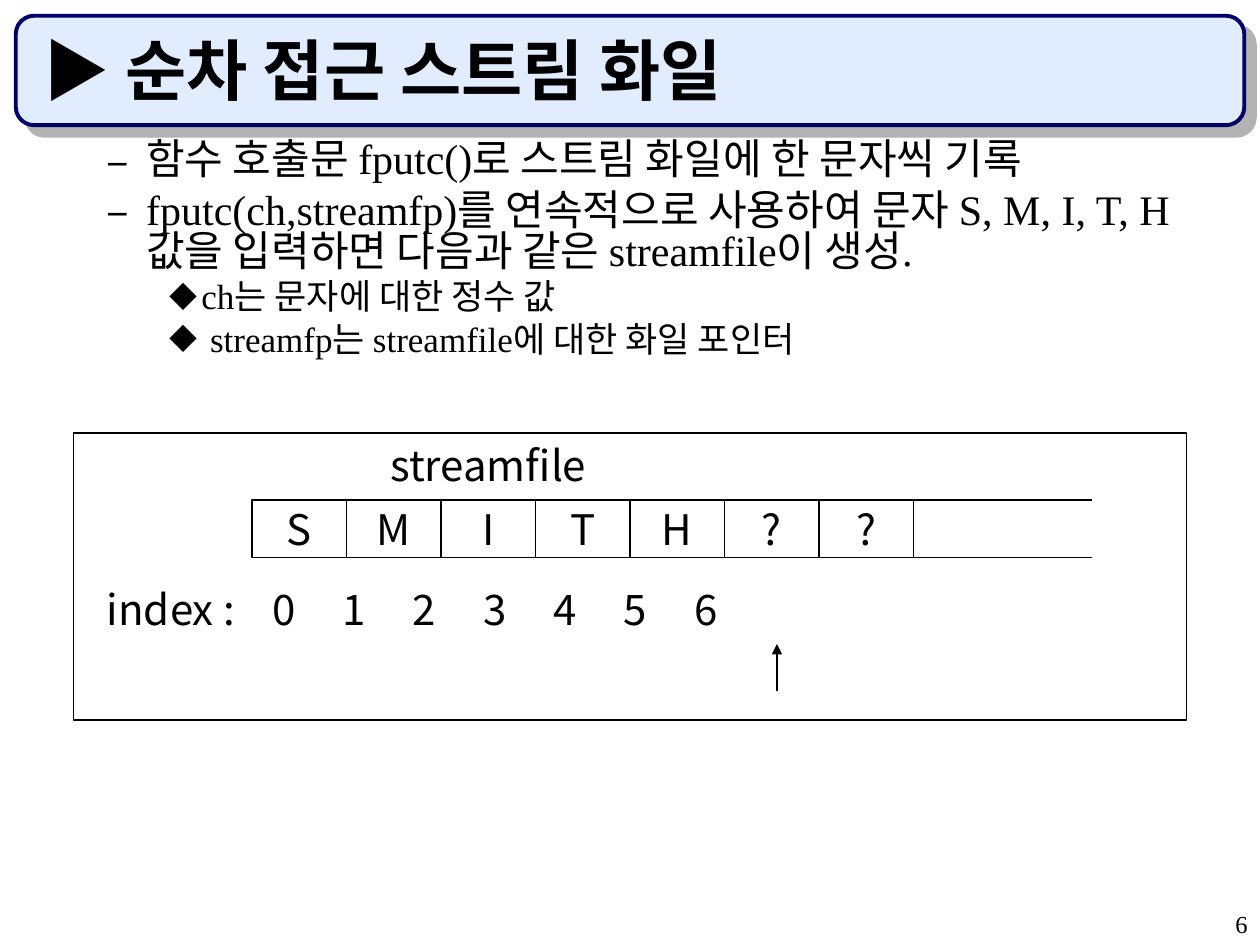
from dataclasses import dataclass
from typing import Any

from pptx import Presentation
from pptx.dml.color import RGBColor
from pptx.enum.shapes import MSO_CONNECTOR, MSO_SHAPE
from pptx.enum.text import MSO_ANCHOR, PP_ALIGN
from pptx.oxml.ns import qn
from pptx.util import Pt
from lxml.etree import SubElement


def color(value):
    return RGBColor.from_string(value)


def add_element(parent, tag, **attributes):
    return SubElement(parent, qn(tag), {name: str(value) for name, value in attributes.items()})


@dataclass
class SlideBuilder:
    slide: Any
    serif: str = "Times New Roman"
    sans: str = "Noto Sans CJK KR"
    ink: str = "000000"
    thin: float = 0.75

    def run(self, paragraph, text, size, font, bold=False):
        run = paragraph.add_run()
        run.text = text
        run.font.size = Pt(size)
        run.font.bold = bold
        run.font.name = font
        run.font.color.rgb = color(self.ink)
        add_element(run.font._element, "a:ea", typeface=self.sans)

    def text_box(self, left, top, width, height, wrap=True, anchor=MSO_ANCHOR.TOP):
        """Add an empty text box and return its text frame."""
        box = self.slide.shapes.add_textbox(Pt(left), Pt(top), Pt(width), Pt(height))
        frame = box.text_frame
        frame.word_wrap = wrap
        frame.vertical_anchor = anchor
        return frame

    def label(self, text, box, size, font, bold=False, align=PP_ALIGN.LEFT, tabs=(), **options):
        paragraph = self.text_box(*box, **options).paragraphs[0]
        paragraph.alignment = align
        if tabs:
            tab_list = add_element(paragraph._p.get_or_add_pPr(), "a:tabLst")
            for position in tabs:
                add_element(tab_list, "a:tab", pos=Pt(position), algn="l")
        self.run(paragraph, text, size, font, bold)

    def bullet(self, paragraph, text, level, character, scale, size, margin, hanging, space):
        paragraph.level = level
        paragraph.line_spacing = 0.8
        paragraph.space_before = Pt(space)
        properties = paragraph._p.get_or_add_pPr()
        properties.set("marL", str(Pt(margin)))
        properties.set("indent", str(-Pt(hanging)))
        bullet_color = add_element(properties, "a:buClr")
        add_element(bullet_color, "a:srgbClr", val=self.ink)
        add_element(properties, "a:buSzPct", val=scale * 1000)
        add_element(properties, "a:buFont", typeface=self.sans)
        add_element(properties, "a:buChar", char=character)
        self.run(paragraph, text, size, self.serif)

    def box(self, left, top, width, height, text="", kind=MSO_SHAPE.RECTANGLE,
            fill=None, line=None, line_width=None):
        shape = self.slide.shapes.add_shape(kind, Pt(left), Pt(top), Pt(width), Pt(height))
        shape.shadow.inherit = False
        if fill:
            shape.fill.solid()
            shape.fill.fore_color.rgb = color(fill)
        else:
            shape.fill.background()
        shape.line.color.rgb = color(line or self.ink)
        shape.line.width = Pt(line_width or self.thin)
        if text:
            frame = shape.text_frame
            frame.word_wrap = False
            frame.vertical_anchor = MSO_ANCHOR.MIDDLE
            frame.paragraphs[0].alignment = PP_ALIGN.CENTER
            self.run(frame.paragraphs[0], text, 24, self.sans)
        return shape

    def banner(self, left, top, width, height):
        shape = self.box(left, top, width, height, kind=MSO_SHAPE.ROUNDED_RECTANGLE,
                         fill="E1ECFF", line="000066", line_width=2.25)
        effects = shape._element.spPr.find(qn("a:effectLst"))
        shadow = add_element(effects, "a:outerShdw", dist=Pt(8.5), dir=45 * 60000,
                             algn="ctr", rotWithShape=0)
        add_element(shadow, "a:srgbClr", val="B2B2B2")

    def line(self, start, end, arrow=False):
        connector = self.slide.shapes.add_connector(
            MSO_CONNECTOR.STRAIGHT, *(Pt(value) for value in (*start, *end)))
        connector.line.color.rgb = color(self.ink)
        connector.line.width = Pt(self.thin)
        if arrow:
            add_element(connector.line._get_or_add_ln(), "a:tailEnd", type="triangle")
        add_element(connector._element.spPr, "a:effectLst")


def add_explanation(builder):
    dash = dict(level=1, character="–", scale=100, size=24, margin=58.5, hanging=22.5, space=6)
    diamond = dict(level=2, character="◆", scale=80, size=20, margin=90, hanging=18, space=5)
    points = [
        ("함수 호출문 fputc()로 스트림 화일에 한 문자씩 기록", {**dash, "space": 0}),
        ("fputc(ch,streamfp)를 연속적으로 사용하여 문자 S, M, I, T, H "
         "값을 입력하면 다음과 같은 streamfile이 생성.", dash),
        ("ch는 문자에 대한 정수 값", diamond),
        (" streamfp는 streamfile에 대한 화일 포인터", diamond),
    ]
    frame = builder.text_box(18, 78, 678, 420)
    for number, (text, style) in enumerate(points):
        paragraph = frame.add_paragraph() if number else frame.paragraphs[0]
        builder.bullet(paragraph, text, **style)


def add_stream_diagram(builder):
    left, top, cell_width, cell_height = 144, 285.7, 54, 33
    cells = "SMITH??"
    for index, character in enumerate(cells):
        builder.box(left + index * cell_width, top, cell_width, cell_height, character)
    right = left + len(cells) * cell_width
    for y in (top, top + cell_height):
        builder.line((right, y), (624, y))

    indexes = range(len(cells))
    builder.label("\t".join(["index :", *map(str, indexes)]), (54, 330, 498, 36),
                  24, builder.sans, tabs=[94.5 + 40.2 * index for index in indexes])
    builder.label("streamfile", (216, 247.5, 128, 36), 24, builder.sans, wrap=False)
    builder.line((444, 395), (444, 368), arrow=True)
    builder.box(42, 247.5, 636, 164)


def main():
    presentation = Presentation()
    presentation.slide_width, presentation.slide_height = Pt(720), Pt(540)
    builder = SlideBuilder(presentation.slides.add_slide(presentation.slide_layouts[6]))
    builder.banner(9, 9, 702, 62.5)
    builder.label("6", (570, 516, 150, 24), 14, builder.serif, align=PP_ALIGN.RIGHT)
    builder.label("▶ 순차 접근 스트림 화일", (18, 18, 678, 48), 38, builder.serif,
                  bold=True, anchor=MSO_ANCHOR.BOTTOM)
    add_explanation(builder)
    add_stream_diagram(builder)
    presentation.save("out.pptx")


if __name__ == "__main__":
    main()
